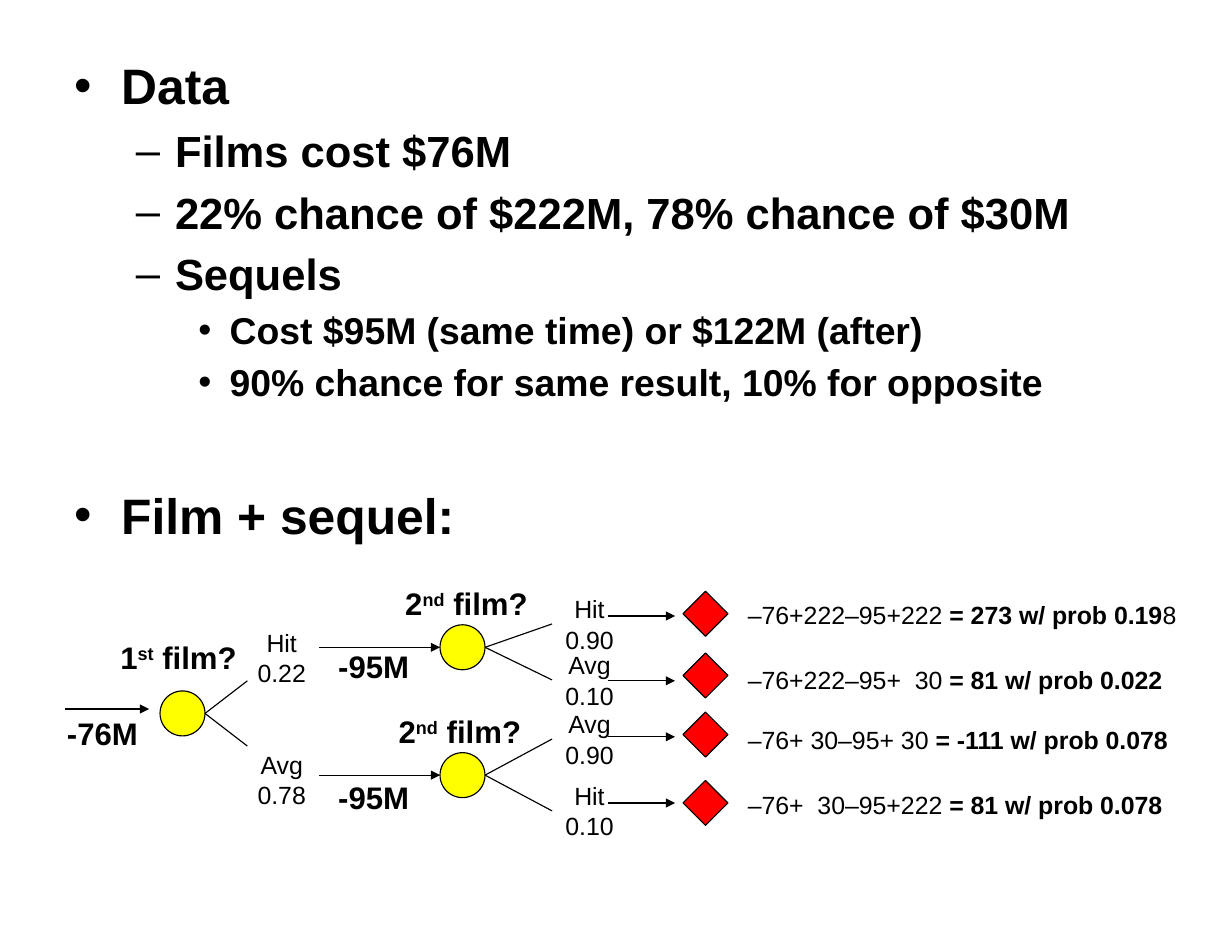
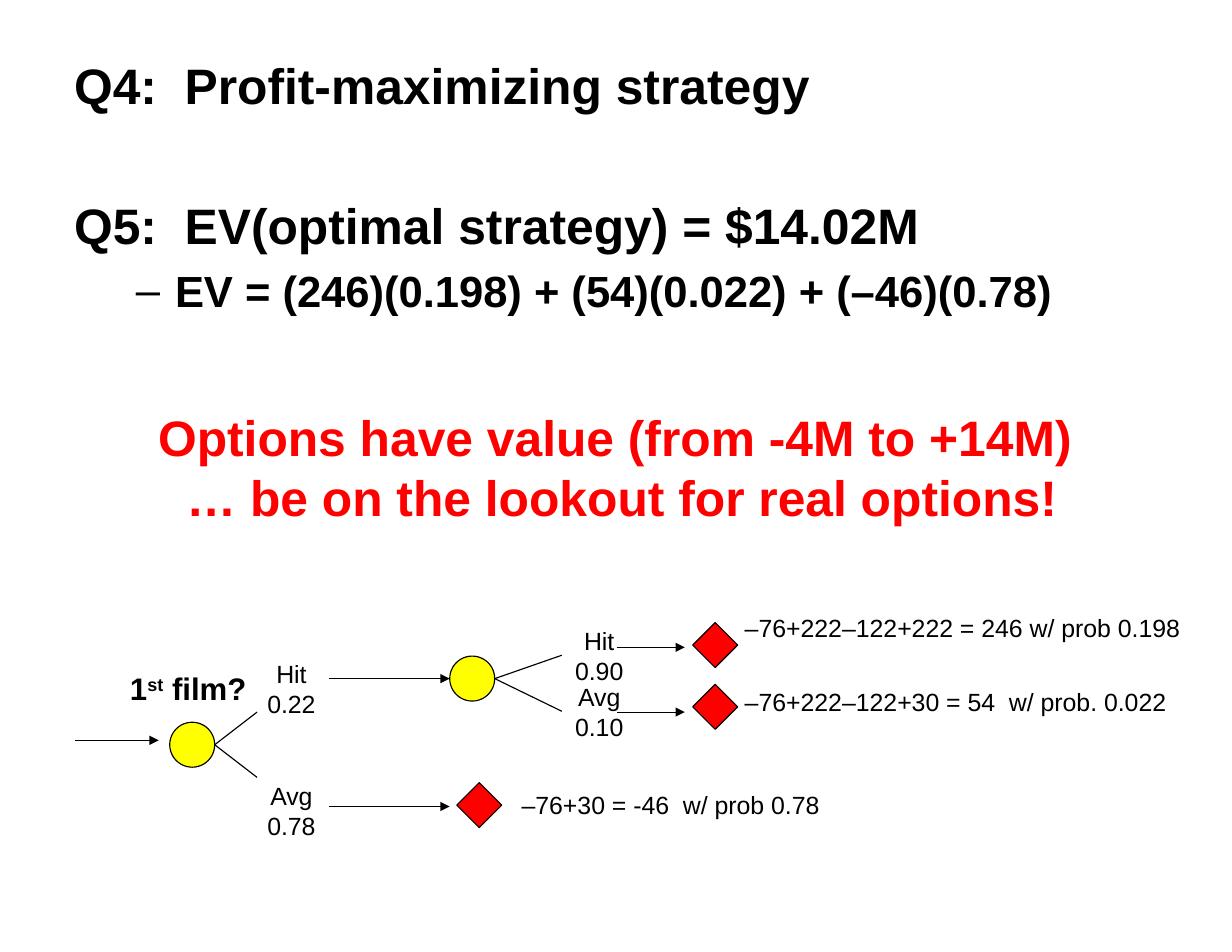
from pptx import Presentation
from pptx.dml.color import RGBColor as Rgb
from pptx.enum.shapes import MSO_CONNECTOR as Link, MSO_SHAPE as Preset
from pptx.enum.text import PP_ALIGN as Align
from pptx.oxml.ns import qn
from pptx.util import Cm, Pt
from lxml.etree import SubElement

COLORS = {"ink": "000000", "paper": "FFFFFF", "chance": "FFFF00", "payoff": "FF0000"}
FONT = "Arial"
LINE_PITCH = 1.21
NODE = 1.02

# Outline levels: size, bullet, left margin and hanging indent in cm
LEVELS = {
    "heading": (32, None, 0, 0),
    "topic": (32, "•", 1.07, -1.07),
    "point": (28, "–", 2.29, -0.89),
    "detail": (24, "•", 3.53, -0.71),
}
GAP = 45  # extra points above a new section

LABEL = {"size": 20, "bold": True}
SMALL = {"size": 16, "bold": False}
BANNER = {"size": 32, "bold": True, "color": "payoff"}

# Horizontal places of the tree, in cm
FIRST_X, SECOND_X, PAYOFF_X = 4.14, 10.49, 16.0
HIT_ROW, AVG_ROW = 14.68, 17.58


def color(name):
    return Rgb.from_string(COLORS[name])


def add_span(para, text, size, bold=False, color_name="ink", raised=False):
    span = para.add_run()
    span.text = text
    values = {"name": FONT, "size": Pt(size), "bold": bold}
    for key, value in values.items():
        setattr(span.font, key, value)
    span.font.color.rgb = color(color_name)
    if raised:
        span._r.get_or_add_rPr().set("baseline", "30000")


def format_para(para, size, before=0, align=Align.LEFT):
    values = {
        "alignment": align,
        "line_spacing": Pt(round(size * LINE_PITCH, 1)),
        "space_before": Pt(before),
        "space_after": Pt(0),
    }
    for key, value in values.items():
        setattr(para, key, value)


def set_bullet(para, mark, margin, indent):
    properties = para._p.get_or_add_pPr()
    properties.set("marL", str(Cm(margin)))
    properties.set("indent", str(Cm(indent)))
    SubElement(properties, qn("a:buFont")).set("typeface", FONT)
    SubElement(properties, qn("a:buChar")).set("char", mark)


def add_box(page, left, top, width, height):
    box = page.shapes.add_textbox(Cm(left), Cm(top), Cm(width), Cm(height))
    box.text_frame.word_wrap = True
    return box


def paragraphs(frame, count):
    return [frame.paragraphs[0]] + [frame.add_paragraph() for _ in range(count - 1)]


def add_outline(page, items):
    """Items are (level, text, extra points above)."""
    box = add_box(page, 1.4, 1.09, 25.15, 18.34)
    box.fill.solid()
    box.fill.fore_color.rgb = color("paper")
    frame = box.text_frame
    margins = {"margin_left": 0.28, "margin_right": 0.28,
               "margin_top": 0.15, "margin_bottom": 0.15}
    for key, value in margins.items():
        setattr(frame, key, Cm(value))
    for number, (level, text, extra) in enumerate(items):
        para = frame.paragraphs[0] if number == 0 else frame.add_paragraph()
        size, mark, margin, indent = LEVELS[level]
        format_para(para, size, before=0.2 * size + extra if number else 0)
        if mark:
            set_bullet(para, mark, margin, indent)
        add_span(para, text, size, bold=True)


def add_lines(page, place, lines, size, bold, color="ink", align=Align.LEFT):
    frame = add_box(page, *place).text_frame
    for para, line in zip(paragraphs(frame, len(lines)), lines):
        format_para(para, size, align=align)
        add_span(para, line, size, bold, color)


def add_film_label(page, left, top, width, number, suffix):
    para = add_box(page, left, top, width, 1.12).text_frame.paragraphs[0]
    format_para(para, LABEL["size"], align=Align.CENTER)
    for text, raised in ((number, False), (suffix, True), (" film?", False)):
        add_span(para, text, raised=raised, **LABEL)


def add_payoff_text(page, left, top, width, sum_text, result="", tail=""):
    para = add_box(page, left, top, width, 0.94).text_frame.paragraphs[0]
    format_para(para, SMALL["size"])
    for text, bold in ((sum_text, False), (result, True), (tail, False)):
        if text:
            add_span(para, text, SMALL["size"], bold)


def add_node(page, preset, fill, center_x, center_y):
    node = page.shapes.add_shape(preset, Cm(center_x - NODE / 2), Cm(center_y - NODE / 2),
                                 Cm(NODE), Cm(NODE))
    node.shadow.inherit = False
    node.fill.solid()
    node.fill.fore_color.rgb = color(fill)
    node.line.color.rgb = color("ink")
    node.line.width = Pt(0.75)


def add_chance(page, x, y):
    add_node(page, Preset.OVAL, "chance", x, y)


def add_payoff(page, x, y):
    add_node(page, Preset.DIAMOND, "payoff", x, y)


def add_line(page, start, end, arrow=False):
    line = page.shapes.add_connector(Link.STRAIGHT, *map(Cm, start + end))
    line.line.color.rgb = color("ink")
    line.line.width = Pt(0.75)
    if arrow:
        SubElement(line.line._get_or_add_ln(), qn("a:tailEnd")).set("type", "triangle")
    SubElement(line._element.spPr, qn("a:effectLst"))


def add_arrow(page, x, y, length):
    add_line(page, (x, y), (x + length, y), arrow=True)


def add_outcome(page, x, y, name, chance):
    add_lines(page, (x, y, 1.7, 1.63), (name, chance), align=Align.CENTER, **SMALL)


def add_fork(page, x, y, end_x, end_rows):
    """Chance node with one branch to each row."""
    add_chance(page, x, y)
    for row in end_rows:
        add_line(page, (x + NODE / 2, y), (end_x, row))


def add_first_film(page, dx=0, dy=0):
    add_arrow(page, 1.47 + dx, 16.08 + dy, 1.91)
    add_fork(page, FIRST_X + dx, 16.18 + dy, 5.61 + dx, (15.44 + dy, 16.92 + dy))
    add_film_label(page, 2.36 + dx, 14.35 + dy, 3.38, "1", "st")
    add_outcome(page, 5.54 + dx, 14.1 + dy, "Hit", "0.22")
    add_outcome(page, 5.54 + dx, 16.87 + dy, "Avg", "0.78")
    for row in (HIT_ROW, AVG_ROW):
        add_arrow(page, 7.24 + dx, row + dy, 2.74)


def add_second_film(page, row, end_rows, outcomes, dx=0, dy=0):
    """Outcomes are (name, chance, label top, arrow row, payoff row)."""
    add_fork(page, SECOND_X + dx, row + dy, 12.52 + dx, [end + dy for end in end_rows])
    for name, chance, top, arrow_row, payoff_row in outcomes:
        add_arrow(page, 13.78 + dx, arrow_row + dy, 1.53)
        add_outcome(page, 12.52 + dx, top + dy, name, chance)
        add_payoff(page, PAYOFF_X + dx, payoff_row + dy)


AFTER_HIT = (HIT_ROW, (14.15, 15.42), (
    ("Hit", "0.90", 13.34, 13.97, 13.92),
    ("Avg", "0.10", 14.61, 15.44, 15.32),
))
AFTER_AVG = (AVG_ROW, (16.76, 18.39), (
    ("Avg", "0.90", 15.95, 16.71, 16.66),
    ("Hit", "0.10", 17.58, 18.21, 18.21),
))


def build_sequel_page(page):
    add_outline(page, (
        ("topic", "Data", 0),
        ("point", "Films cost $76M", 0),
        ("point", "22% chance of $222M, 78% chance of $30M", 0),
        ("point", "Sequels", 0),
        ("detail", "Cost $95M (same time) or $122M (after)", 0),
        ("detail", "90% chance for same result, 10% for opposite", 0),
        ("topic", "Film + sequel:", GAP),
    ))
    add_first_film(page)
    for branch in (AFTER_HIT, AFTER_AVG):
        add_second_film(page, *branch)
    for left, top in ((8.46, 13.13), (8.31, 16.03)):
        add_film_label(page, left, top, 4.24, "2", "nd")
    for left, top, cost in ((1.27, 16.08, "-76M"), (7.42, 14.55, "-95M"), (7.42, 17.53, "-95M")):
        add_lines(page, (left, top, 2.74, 1.12), (cost,), **LABEL)
    payoffs = (
        (13.46, "–76+222–95+222 ", "= 273 w/ prob 0.19", "8"),
        (14.94, "–76+222–95+  30 ", "= 81 w/ prob 0.022"),
        (16.31, "–76+ 30–95+ 30 ", "= -111 w/ prob 0.078"),
        (17.78, "–76+  30–95+222 ", "= 81 w/ prob 0.078"),
    )
    for top, *texts in payoffs:
        add_payoff_text(page, 16.71, top, 10.8, *texts)


def build_option_page(page):
    add_outline(page, (
        ("heading", "Q4:  Profit-maximizing strategy", 0),
        ("heading", "Q5:  EV(optimal strategy) = $14.02M", GAP),
        ("point", "EV = (246)(0.198) + (54)(0.022) + (–46)(0.78)", 0),
    ))
    shift = {"dx": 0.22, "dy": 0.71}
    add_first_film(page, **shift)
    add_second_film(page, *AFTER_HIT, **shift)
    add_payoff(page, 10.87, 18.26)
    add_payoff_text(page, 16.64, 13.77, 10.9, "–76+222–122+222 = 246 w/ prob 0.198")
    add_payoff_text(page, 16.64, 15.44, 10.8, "–76+222–122+30 = 54  w/ prob. 0.022")
    add_payoff_text(page, 11.58, 17.78, 8.74, "–76+30 = -46  w/ prob 0.78")
    add_lines(page, (1.7, 9.09, 24.84, 3),
              ("Options have value (from -4M to +14M) ", "… be on the lookout for real options!"),
              align=Align.CENTER, **BANNER)


def main():
    deck = Presentation()
    deck.slide_width, deck.slide_height = Cm(27.94), Cm(21.59)
    for build in (build_sequel_page, build_option_page):
        build(deck.slides.add_slide(deck.slide_layouts[6]))
    deck.save("out.pptx")


if __name__ == "__main__":
    main()
